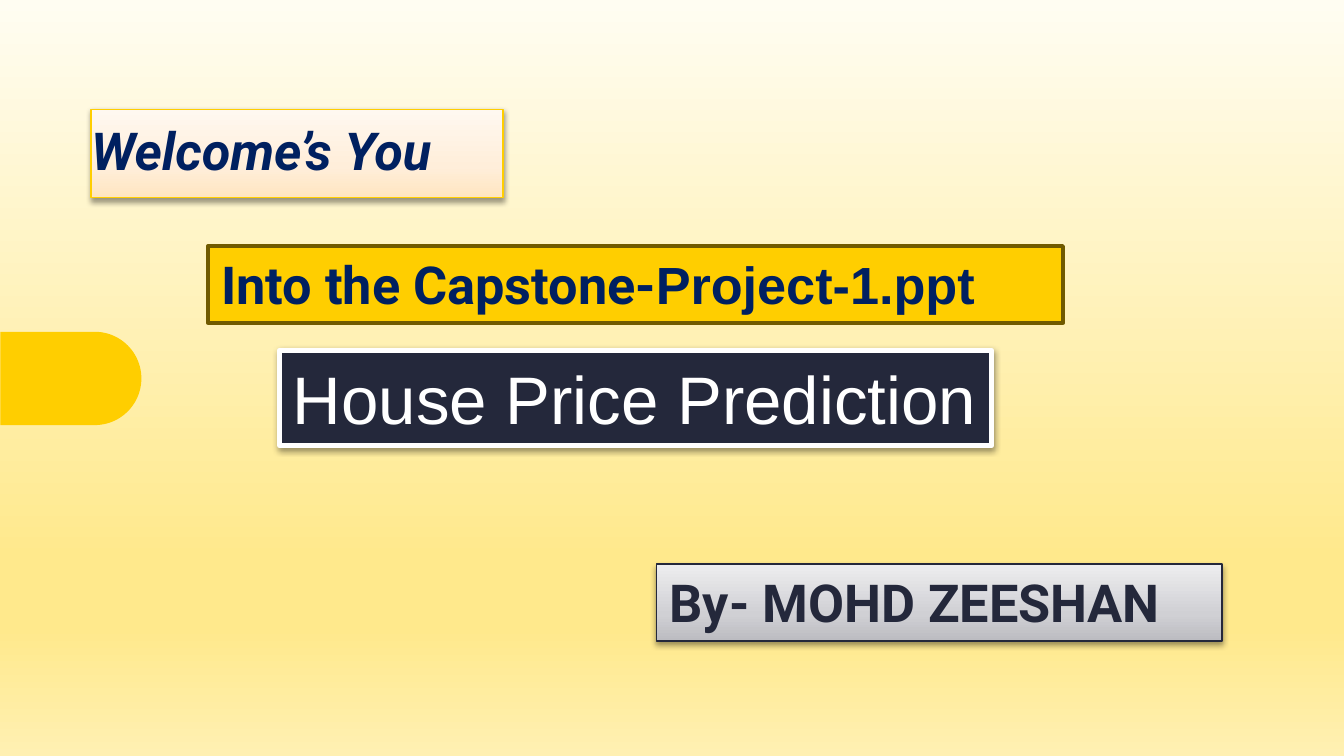
from dataclasses import dataclass

from lxml.etree import SubElement
from pptx import Presentation
from pptx.dml.color import RGBColor
from pptx.enum.shapes import MSO_SHAPE as Preset
from pptx.enum.text import MSO_ANCHOR as Anchor
from pptx.enum.text import MSO_AUTO_SIZE as AutoSize
from pptx.enum.text import PP_ALIGN as Align
from pptx.oxml.ns import qn
from pptx.util import Pt


@dataclass(frozen=True)
class Theme:
    yellow: str = "FFCE00"
    brown: str = "705A00"
    navy: str = "002060"
    ink: str = "24283B"
    white: str = "FFFFFF"
    shadow: str = "000000"
    page_stops: tuple = ((0, "FFFDF2"), (74, "FFE98C"), (83, "FFE98C"), (100, "FFF0B2"))
    cream_stops: tuple = ((0, "FFF8F0"), (65, "FFEEDA"), (100, "FFE5C0"))
    grey_stops: tuple = ((0, "EDEDEF"), (65, "D0D0D4"), (100, "BCBCC1"))
    body_size: int = 28
    project_size: int = 36
    heading_font: str = "Roboto"
    plain_font: str = "Arial"


THEME = Theme()


def points(box):
    return [Pt(value) for value in box]


def add_color(parent, color, alpha=None):
    node = SubElement(parent, qn("a:srgbClr"), val=color)
    if alpha is not None:
        SubElement(node, qn("a:alpha"), val=str(alpha * 1000))


def fill_gradient(owner, fill, stops):
    """Fill from top to bottom with (percent, colour) stops."""
    fill.gradient()
    fill.gradient_angle = 270
    stop_list = next(owner.element.iter(qn("a:gsLst")))
    for old_stop in list(stop_list):
        stop_list.remove(old_stop)
    for percent, color in stops:
        add_color(SubElement(stop_list, qn("a:gs"), pos=str(percent * 1000)), color)


def style_shape(shape, fill, line=None, width=0, shadow=False):
    """Apply a solid colour or gradient stops, an outline and a soft shadow."""
    if isinstance(fill, str):
        shape.fill.solid()
        shape.fill.fore_color.rgb = RGBColor.from_string(fill)
    else:
        fill_gradient(shape, shape.fill, fill)
    if line:
        shape.line.color.rgb = RGBColor.from_string(line)
        shape.line.width = Pt(width)
    else:
        shape.line.fill.background()
    shape.shadow.inherit = False
    if shadow:
        effects = shape.element.spPr.find(qn("a:effectLst"))
        outer = SubElement(effects, qn("a:outerShdw"), blurRad=str(Pt(3.1)),
                           dist=str(Pt(1.6)), dir="5400000", rotWithShape="0")
        add_color(outer, THEME.shadow, alpha=38)


def write_runs(para, runs, size, color, bold=False, italic=False):
    """Write (text, font name) runs that share one style."""
    para.alignment = Align.LEFT
    for text, font_name in runs:
        span = para.add_run()
        span.text = text
        font = span.font
        font.name, font.size = font_name, Pt(size)
        font.bold, font.italic = bold, italic
        font.color.rgb = RGBColor.from_string(color)


def add_side_tab(page, box):
    """Place a tab rounded on its right; the box is the one before rotation."""
    tab = page.shapes.add_shape(Preset.ROUND_2_SAME_RECTANGLE, *points(box))
    tab.adjustments[0], tab.adjustments[1] = 0.5, 0
    tab.rotation = 90
    style_shape(tab, THEME.yellow)


def place_title(page, box):
    title = page.shapes.title
    title.left, title.top, title.width, title.height = points(box)
    style_shape(title, THEME.cream_stops, THEME.yellow, 0.75, shadow=True)
    frame = title.text_frame
    frame.auto_size = AutoSize.NONE
    frame.word_wrap = True
    frame.vertical_anchor = Anchor.MIDDLE
    frame.margin_left = frame.margin_top = frame.margin_right = frame.margin_bottom = 0
    para = frame.paragraphs[0]
    para.line_spacing = 0.9
    write_runs(para, [("Welcome’s You", THEME.heading_font)],
               THEME.body_size, THEME.navy, bold=True, italic=True)


def add_banner(page, box, runs, size, color, bold, **style):
    banner = page.shapes.add_shape(Preset.RECTANGLE, *points(box))
    style_shape(banner, **style)
    frame = banner.text_frame
    frame.word_wrap = True
    frame.auto_size = AutoSize.SHAPE_TO_FIT_TEXT
    frame.vertical_anchor = Anchor.TOP
    write_runs(frame.paragraphs[0], runs, size, color, bold)


def build_cover(deck):
    page = deck.slides.add_slide(deck.slide_layouts[5])
    fill_gradient(page, page.background.fill, THEME.page_stops)
    add_side_tab(page, (13, 165, 50, 75.5))
    place_title(page, (48.8, 58.6, 220.6, 47.4))
    add_banner(page, (111.5, 131.8, 458, 41.2),
               [("Into the Capstone-", THEME.heading_font),
                ("Project-1.ppt", THEME.plain_font)],
               THEME.body_size, THEME.navy, True,
               fill=THEME.yellow, line=THEME.brown, width=2)
    add_banner(page, (149.8, 187.8, 381.4, 50.9),
               [("House Price Prediction", THEME.plain_font)],
               THEME.project_size, THEME.white, False,
               fill=THEME.ink, line=THEME.white, width=3, shadow=True)
    add_banner(page, (351.6, 302.2, 303, 41.2),
               [("By- MOHD ZEESHAN", THEME.heading_font)],
               THEME.body_size, THEME.ink, True,
               fill=THEME.grey_stops, line=THEME.ink, width=0.75, shadow=True)


def main():
    deck = Presentation()
    deck.slide_width, deck.slide_height = Pt(720), Pt(405)
    build_cover(deck)
    deck.save("out.pptx")


if __name__ == "__main__":
    main()
